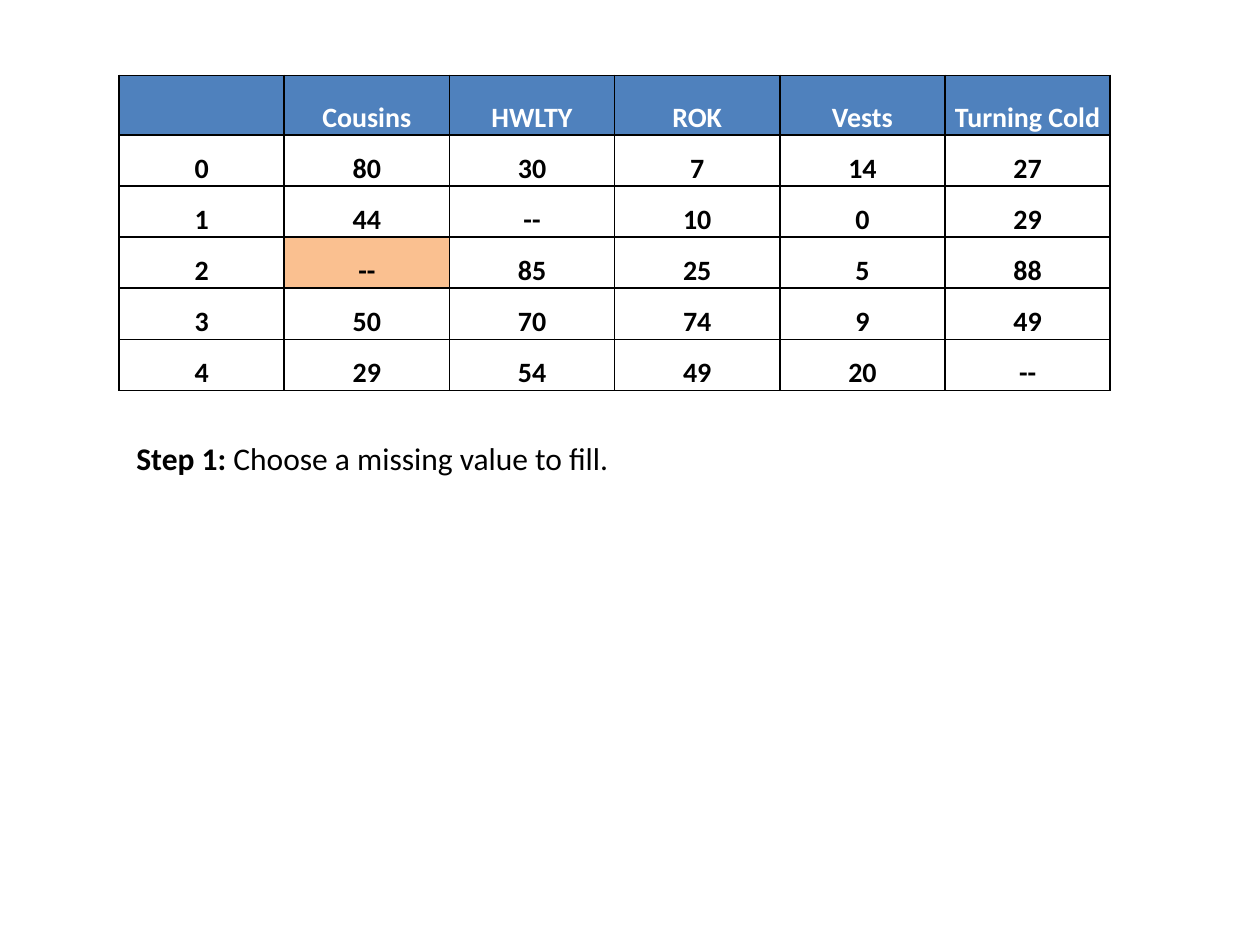
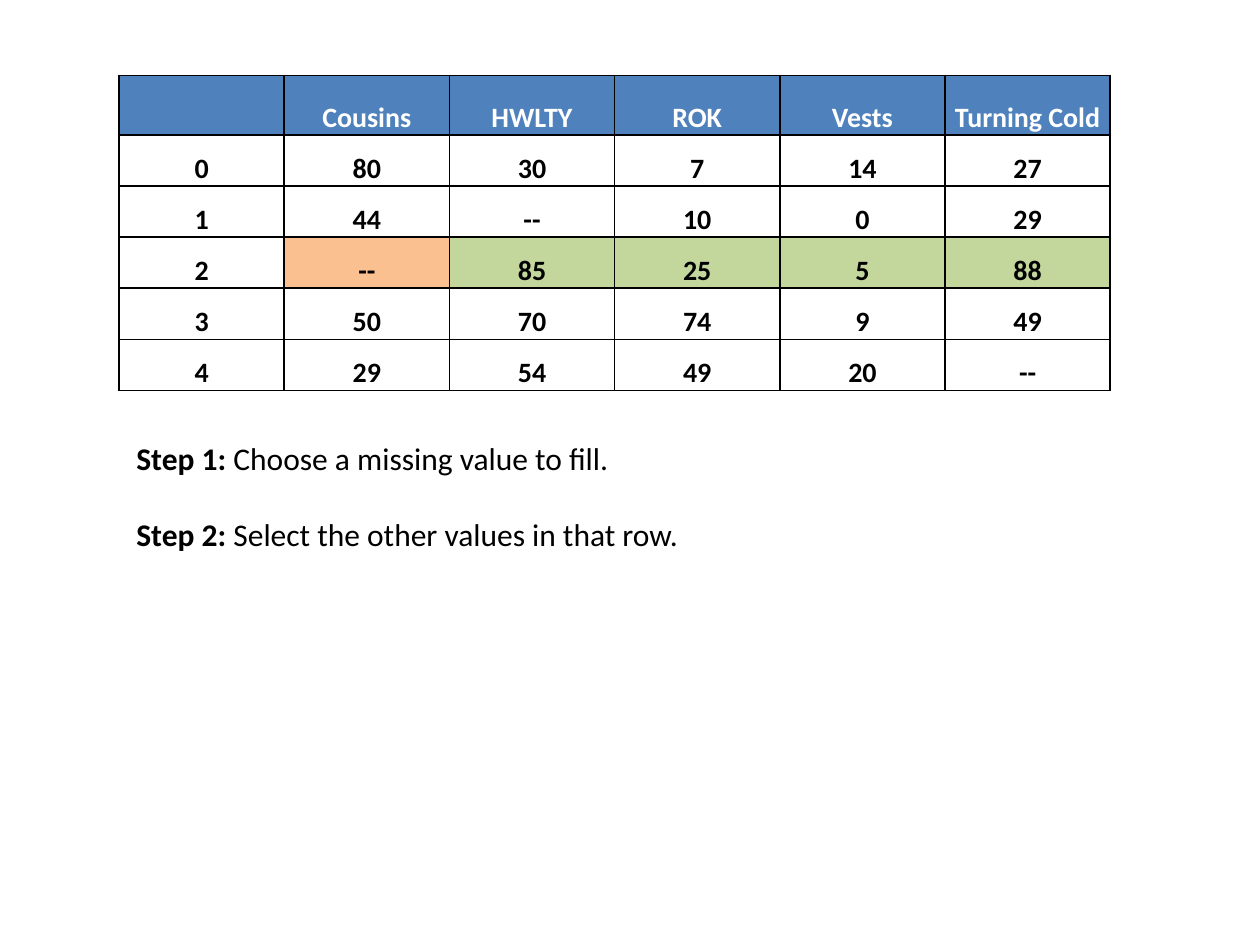
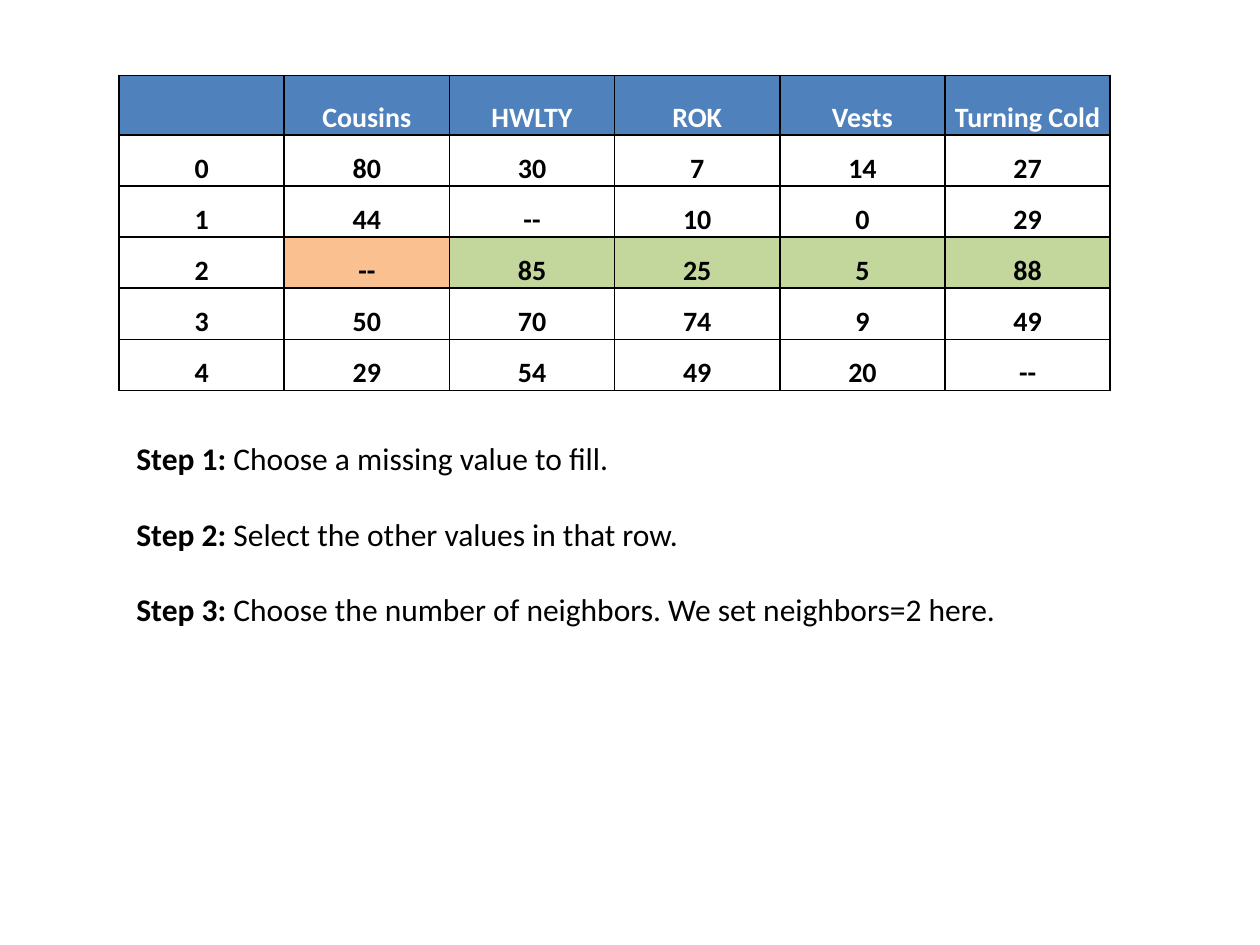
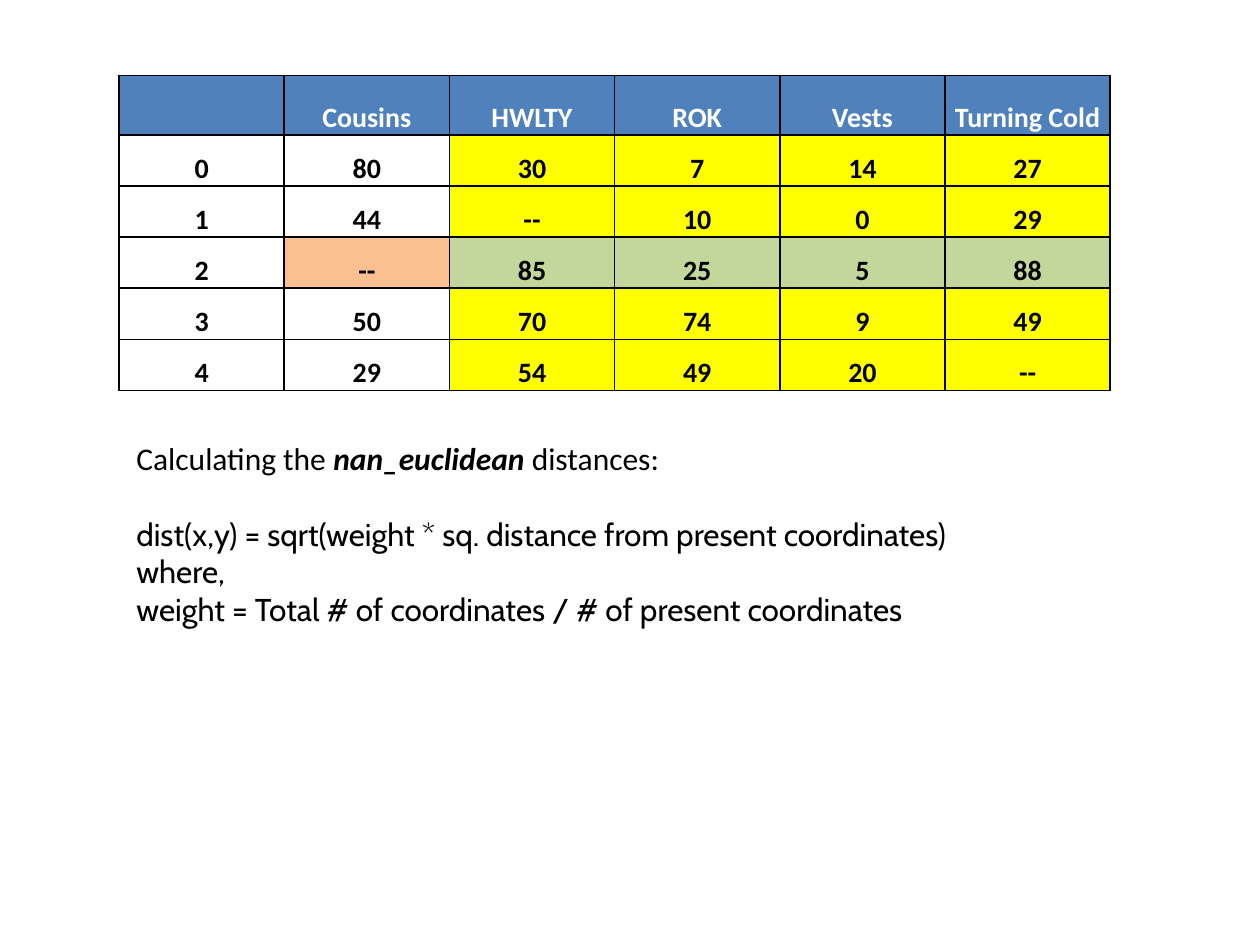
from dataclasses import dataclass

import pptx
import pptx.dml.color
import pptx.enum.text
import pptx.oxml
import pptx.oxml.ns
import pptx.util
from pptx.util import Cm, Pt

HEADER = ["", "Cousins", "HWLTY", "ROK", "Vests", "Turning Cold"]
RATINGS = [
    ["80", "30", "7", "14", "27"],
    ["44", "--", "10", "0", "29"],
    ["--", "85", "25", "5", "88"],
    ["50", "70", "74", "9", "49"],
    ["29", "54", "49", "20", "--"],
]
TARGET_ROW, TARGET_COLUMN = 3, 1

# A run is (text, style); a paragraph is (gap above it, runs).
STEPS = [
    ("Step 1: ", "Choose a missing value to fill."),
    ("Step 2: ", "Select the other values in that row."),
    ("Step 3: ", "Choose the number of neighbors. We set neighbors=2 here."),
]
STEP_PARAGRAPHS = [
    (number > 0, [(label, "bold"), (sentence, "plain")])
    for number, (label, sentence) in enumerate(STEPS)
]
DISTANCE_PARAGRAPHS = [
    (False, [("Calculating the ", "plain"), ("nan_euclidean", "term"), (" distances:", "plain")]),
    (True, [("dist(x,y) = sqrt(weight * sq. distance from present coordinates)", "formula")]),
    (False, [("where,", "formula")]),
    (False, [("weight = Total # of coordinates / # of present coordinates", "formula")]),
]

SLIDES = [
    {"paragraphs": STEP_PARAGRAPHS[:1], "size": (19.4, 1.8), "marks": {"target"}},
    {"paragraphs": STEP_PARAGRAPHS[:2], "size": (19.4, 3.33), "marks": {"target", "row"}},
    {"paragraphs": STEP_PARAGRAPHS, "size": (19.4, 6.4), "marks": {"target", "row"}},
    {"paragraphs": DISTANCE_PARAGRAPHS, "size": (20.2, 4.88), "marks": {"target", "row", "others"}},
]


@dataclass(frozen=True)
class Theme:
    header: str = "4F81BD"
    target: str = "FAC090"
    row: str = "C3D69B"
    others: str = "FFFF00"
    text: str = "000000"
    header_text: str = "FFFFFF"
    border: str = "000000"
    font: str = "Calibri"
    formula_font: str = "Cabin"
    table_size: float = 16
    text_size: float = 18
    paragraph_gap: float = 21.5


THEME = Theme()
TABLE_LEFT, TABLE_TOP = Cm(2.4), Cm(1.52)
COLUMN_WIDTH, HEADER_HEIGHT, ROW_HEIGHT = Cm(3.33), Cm(1.2), Cm(1.03)
TEXT_LEFT, TEXT_TOP = Cm(2.5), Cm(8.73)


def add_run(paragraph, text, size, color, style="plain"):
    run = paragraph.add_run()
    run.text = text
    run.font.name = THEME.formula_font if style == "formula" else THEME.font
    run.font.size = Pt(size)
    run.font.bold = style in ("bold", "term")
    run.font.italic = style == "term"
    run.font.color.rgb = pptx.dml.color.RGBColor.from_string(color)


def add_borders(cell):
    properties = cell._tc.get_or_add_tcPr()
    for side in ("lnL", "lnR", "lnT", "lnB"):
        properties.append(pptx.oxml.parse_xml(
            f'<a:{side} {pptx.oxml.ns.nsdecls("a")} w="{Pt(1)}"><a:solidFill>'
            f'<a:srgbClr val="{THEME.border}"/></a:solidFill></a:{side}>'
        ))


def cell_color(row, column, marks):
    """Return the fill of a table cell, or None where it stays clear."""
    if row == 0:
        return THEME.header
    if column < TARGET_COLUMN:
        return None
    if column == TARGET_COLUMN:
        mark = "target" if row == TARGET_ROW else None
    else:
        mark = "row" if row == TARGET_ROW else "others"
    return getattr(THEME, mark) if mark in marks else None


def format_cell(cell, text, color, is_header):
    cell.margin_left = cell.margin_right = cell.margin_top = Cm(0.02)
    cell.margin_bottom = 0
    cell.vertical_anchor = pptx.enum.text.MSO_ANCHOR.BOTTOM
    add_borders(cell)
    if color:
        cell.fill.solid()
        cell.fill.fore_color.rgb = pptx.dml.color.RGBColor.from_string(color)
    else:
        cell.fill.background()
    if text:
        paragraph = cell.text_frame.paragraphs[0]
        paragraph.alignment = pptx.enum.text.PP_ALIGN.CENTER
        text_color = THEME.header_text if is_header else THEME.text
        add_run(paragraph, text, THEME.table_size, text_color, "bold")


def add_ratings_table(slide, marks):
    rows = [HEADER] + [[str(index), *values] for index, values in enumerate(RATINGS)]
    table = slide.shapes.add_table(
        len(rows), len(HEADER), TABLE_LEFT, TABLE_TOP,
        COLUMN_WIDTH * len(HEADER), HEADER_HEIGHT + ROW_HEIGHT * len(RATINGS),
    ).table
    table.horz_banding = False
    for column in table.columns:
        column.width = COLUMN_WIDTH
    for row, values in enumerate(rows):
        table.rows[row].height = ROW_HEIGHT if row else HEADER_HEIGHT
        for column, text in enumerate(values):
            color = cell_color(row, column, marks)
            format_cell(table.cell(row, column), text, color, row == 0)


def add_explanation(slide, paragraphs, size):
    width, height = size
    frame = slide.shapes.add_textbox(TEXT_LEFT, TEXT_TOP, Cm(width), Cm(height)).text_frame
    frame.word_wrap = True
    frame.auto_size = pptx.enum.text.MSO_AUTO_SIZE.SHAPE_TO_FIT_TEXT
    for number, (has_gap, runs) in enumerate(paragraphs):
        paragraph = frame.add_paragraph() if number else frame.paragraphs[0]
        if has_gap:
            paragraph.space_before = Pt(THEME.paragraph_gap)
        for text, style in runs:
            add_run(paragraph, text, THEME.text_size, THEME.text, style)


def main():
    presentation = pptx.Presentation()
    presentation.slide_width, presentation.slide_height = Cm(25.4), Cm(19.05)
    blank_layout = presentation.slide_layouts[6]
    for content in SLIDES:
        slide = presentation.slides.add_slide(blank_layout)
        add_explanation(slide, content["paragraphs"], content["size"])
        add_ratings_table(slide, content["marks"])
    presentation.save("out.pptx")


if __name__ == "__main__":
    main()
